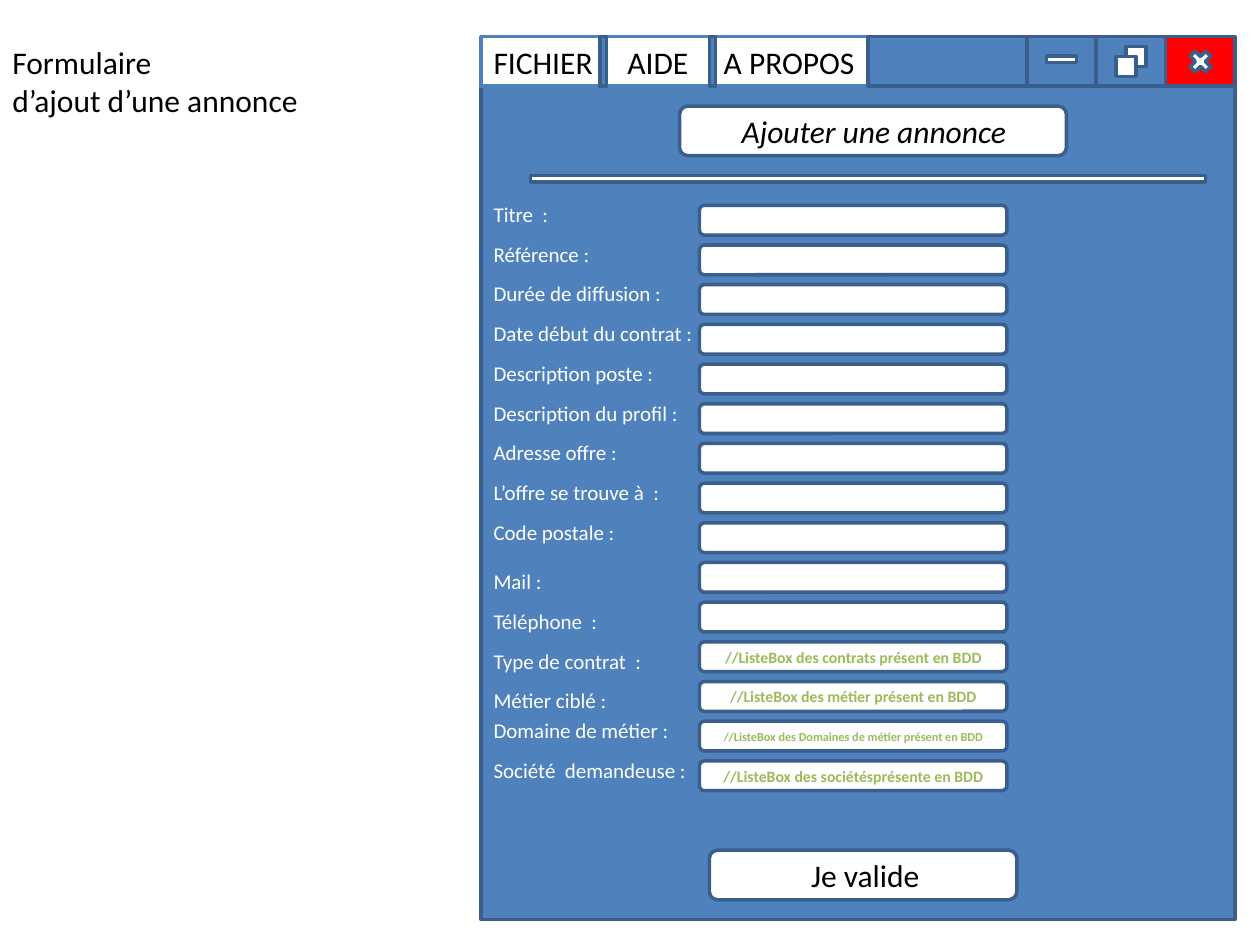
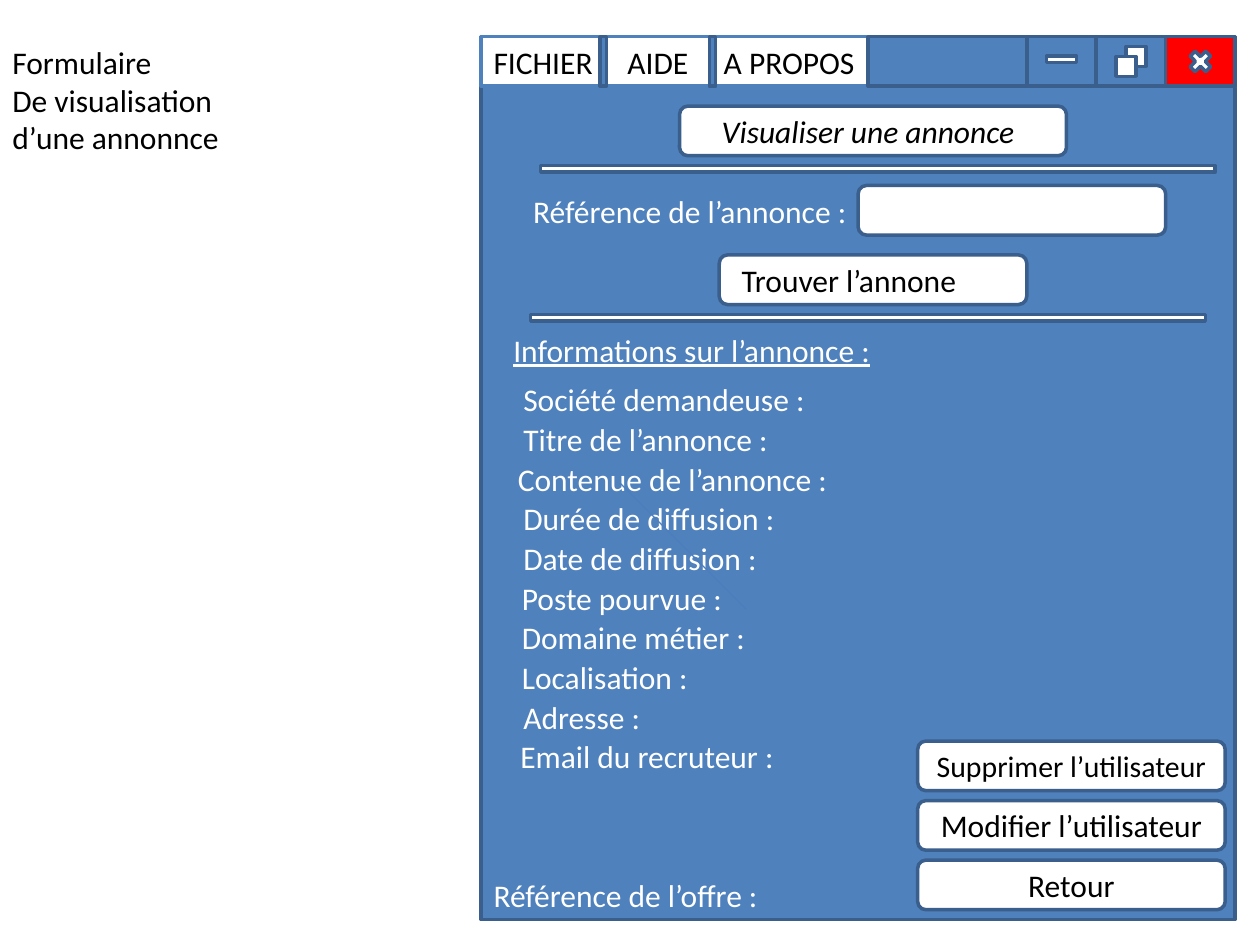
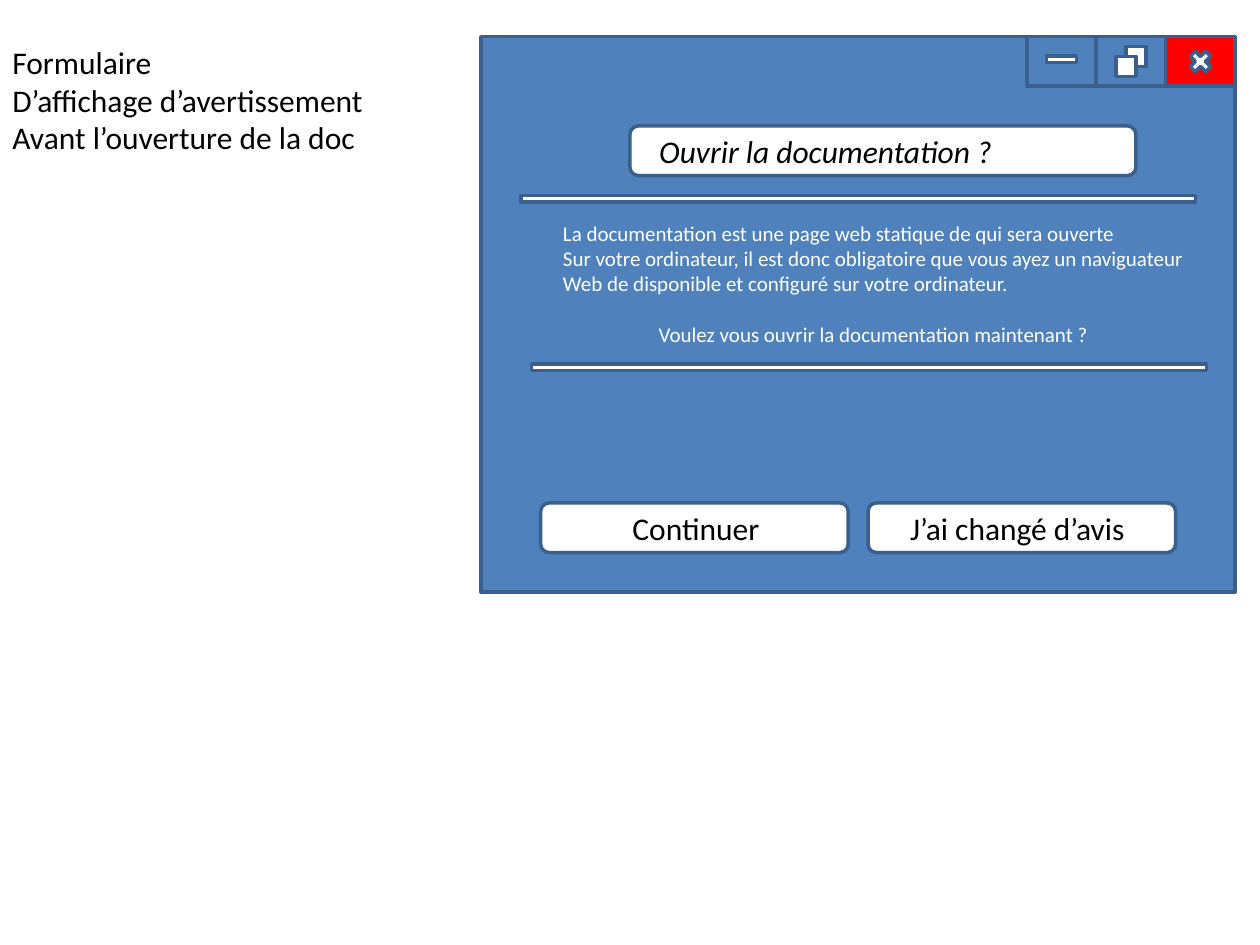
from lxml import etree
from pptx import Presentation
from pptx.dml.color import RGBColor
from pptx.enum.shapes import MSO_CONNECTOR, MSO_SHAPE
from pptx.enum.text import MSO_ANCHOR, PP_ALIGN
from pptx.oxml.ns import qn
from pptx.util import Cm, Pt

RECT = MSO_SHAPE.RECTANGLE
ROUNDED = MSO_SHAPE.ROUNDED_RECTANGLE
CROSS = MSO_SHAPE.MATH_MULTIPLY
STRAIGHT = MSO_CONNECTOR.STRAIGHT
LEFT, CENTER = PP_ALIGN.LEFT, PP_ALIGN.CENTER
MIDDLE = MSO_ANCHOR.MIDDLE

BLUE = RGBColor(0x4F, 0x81, 0xBD)
DARK_BLUE = RGBColor(0x3A, 0x5F, 0x8C)
FAINT_BLUE = RGBColor(0x4B, 0x7E, 0xBC)
RED = RGBColor(0xFF, 0x00, 0x00)
GREEN = RGBColor(0x9B, 0xBB, 0x59)
WHITE = RGBColor(0xFF, 0xFF, 0xFF)
BLACK = RGBColor(0x00, 0x00, 0x00)

FONT = "Calibri"
BODY, SMALL = 18, 12
LINE_HEIGHT = {BODY: 1.03, SMALL: 0.77}

# All lengths are in centimetres.
WINDOW_LEFT, WINDOW_TOP, WINDOW_WIDTH = 9.7, 0.74, 15.2
TALL_WINDOW, SHORT_WINDOW = 17.8, 11.2
BAR_HEIGHT = 1
CONTROL_WIDTH = 1.4
BUTTON_WIDTH, BUTTON_HEIGHT = 6.2, 1
FIELD_HEIGHT = 0.6
RULE_WIDTH, RULE_HEIGHT = 13.6, 0.13
ROW_STEP = 0.8

# Label, label width, hint in the field, hint size
AD_FIELDS = [
    ("Titre  :", 1.63, "", 9),
    ("Référence :", 2.46, "", 9),
    ("Durée de diffusion :", 3.94, "", 9),
    ("Date début du contrat :", 4.55, "", 9),
    ("Description poste :", 3.78, "", 9),
    ("Description du profil :", 4.27, "", 9),
    ("Adresse offre :", 3.05, "", 9),
    ("L’offre se trouve à  :", 3.91, "", 9),
    ("Code postale :", 3.07, "", 9),
    ("Mail :", 1.6, "", 9),
    ("Téléphone  :", 2.72, "", 9),
    ("Type de contrat  :", 3.63, "//ListeBox des contrats présent en BDD", 9),
    ("Métier ciblé :", 2.82, "//ListeBox des métier présent en BDD", 9),
    ("Domaine de métier :", 4.09,
     "//ListeBox des Domaines de métier présent en BDD", 7),
    ("Société  demandeuse :", 4.45,
     "//ListeBox des sociétésprésente en BDD", 9),
]
LOWERED_ROWS = range(9, 13)

# Label, left, width
AD_DETAILS = [
    ("Société demandeuse :", 0.6, 6.4),
    ("Titre de l’annonce :", 0.6, 5.51),
    ("Contenue de l’annonce :", 0.49, 6.85),
    ("Durée de diffusion :", 0.6, 5.66),
    ("Date de diffusion :", 0.6, 5.28),
    ("Poste pourvue :", 0.57, 4.76),
    ("Domaine métier :", 0.57, 5.09),
    ("Localisation :", 0.57, 3.93),
    ("Adresse :", 0.6, 2.9),
    ("Email du recruteur :", 0.54, 5.7),
]


class Mockup:
    """Draws form windows; positions count from the window's top left corner."""

    def __init__(self):
        self.deck = Presentation()
        self.deck.slide_width, self.deck.slide_height = Cm(25.4), Cm(19.05)
        self.shapes = None

    def new_slide(self):
        self.shapes = self.deck.slides.add_slide(self.deck.slide_layouts[6]).shapes

    @staticmethod
    def place(x, y):
        return Cm(WINDOW_LEFT + x), Cm(WINDOW_TOP + y)

    @staticmethod
    def style(paragraph, size, color, bold=None, italic=None, underline=None):
        font = paragraph.font
        font.name, font.size = FONT, Pt(size)
        font.bold, font.italic, font.underline = bold, italic, underline
        font.color.rgb = color

    def box(self, x, y, width, height, fill=WHITE, line=DARK_BLUE, kind=RECT):
        shape = self.shapes.add_shape(kind, *self.place(x, y), Cm(width), Cm(height))
        shape.shadow.inherit = False
        shape.fill.solid()
        shape.fill.fore_color.rgb = fill
        shape.line.color.rgb = line
        shape.line.width = Pt(2)
        return shape

    def button(self, x, y, text="", width=BUTTON_WIDTH, height=BUTTON_HEIGHT,
               size=BODY, color=BLACK, bold=None):
        shape = self.box(x, y, width, height, kind=ROUNDED)
        if text:
            frame = shape.text_frame
            frame.text = text
            frame.vertical_anchor = MIDDLE
            frame.paragraphs[0].alignment = CENTER
            self.style(frame.paragraphs[0], size, color, bold)

    def text(self, text, x, y, width, size=BODY, color=WHITE, wrap=False, **emphasis):
        lines = text.count("\n") + 1
        label = self.shapes.add_textbox(*self.place(x, y), Cm(width),
                                        Cm(LINE_HEIGHT[size] * lines))
        frame = label.text_frame
        frame.word_wrap = wrap
        frame.text = text
        for paragraph in frame.paragraphs:
            paragraph.alignment = LEFT
            self.style(paragraph, size, color, **emphasis)
        return frame.paragraphs

    def caption(self, text, width):
        self.text(text, -WINDOW_LEFT, 0, width, color=BLACK)

    def rule(self, x, y):
        self.box(x, y, RULE_WIDTH, RULE_HEIGHT)

    def line(self, x1, y1, x2, y2):
        connector = self.shapes.add_connector(STRAIGHT, *self.place(x1, y1),
                                              *self.place(x2, y2))
        connector.line.color.rgb = FAINT_BLUE
        connector.line.width = Pt(0.75)
        etree.SubElement(connector._element.spPr, qn("a:effectLst"))

    def window(self, height, has_menu=True):
        self.box(0, 0, WINDOW_WIDTH, height, BLUE)
        if has_menu:
            self.box(0, 0, WINDOW_WIDTH, BAR_HEIGHT, line=BLUE)
        for place_from_right, fill in enumerate((RED, BLUE, BLUE), 1):
            self.box(WINDOW_WIDTH - place_from_right * CONTROL_WIDTH, 0,
                     CONTROL_WIDTH, BAR_HEIGHT, fill)
        self.box(11.4, 0.39, 0.6, RULE_HEIGHT)
        self.box(14.2, 0.2, 0.6, 0.6, kind=CROSS)
        self.box(13, 0.2, 0.4, 0.4)
        self.box(12.8, 0.4, 0.4, 0.4)
        if has_menu:
            self.menu()

    def menu(self):
        entries = self.text("FICHIER\tAIDE\tA PROPOS", 0, 0, 11, color=BLACK, wrap=True)
        properties = entries[0]._p.get_or_add_pPr()
        tabs = etree.Element(qn("a:tabLst"))
        for position in (2.7, 4.64):
            etree.SubElement(tabs, qn("a:tab"), pos=str(Cm(position)), algn="l")
        properties.find(qn("a:defRPr")).addprevious(tabs)
        for x, width in ((7.8, 3.2), (2.4, RULE_HEIGHT), (4.6, RULE_HEIGHT)):
            self.box(x, 0, width, BAR_HEIGHT, BLUE)

    def heading(self, text, text_x, text_width=6.6, x=4, y=1.4, width=7.8):
        self.button(x, y, width=width)
        self.text(text, text_x, y, text_width, color=BLACK, wrap=True, italic=True)

    def labelled_button(self, text, x, y, text_x, text_width):
        """Adds a button whose label is placed apart from its centre."""
        self.button(x, y)
        self.text(text, text_x, y, text_width, color=BLACK)


def add_ad_form(mockup):
    mockup.new_slide()
    mockup.window(TALL_WINDOW)
    mockup.heading("Ajouter une annonce", 5)
    mockup.caption("Formulaire\nd’ajout d’une annonce", 6.35)
    mockup.rule(1, 2.8)
    for row, (label, width, hint, hint_size) in enumerate(AD_FIELDS):
        y = 3.2 + row * ROW_STEP
        mockup.button(4.4, y + 0.2, hint, height=FIELD_HEIGHT,
                      size=hint_size, color=GREEN, bold=True)
        mockup.text(label, 0, y + (0.2 if row in LOWERED_ROWS else 0), width, SMALL)
    mockup.labelled_button("Je valide", 4.6, 16.4, 6.4, 2.87)


def add_ad_view(mockup):
    mockup.new_slide()
    mockup.window(TALL_WINDOW)
    mockup.heading("Visualiser une annonce", 4.6)
    mockup.caption("Formulaire\nDe visualisation\nd’une annonnce", 4.88)
    mockup.rule(1.2, 2.6)
    mockup.button(7.6, 3)
    mockup.text("Référence de l’annonce :", 0.8, 3, 6.91)
    mockup.labelled_button("Trouver l’annone", 4.8, 4.4, 5, 5.03)
    mockup.rule(1, 5.6)
    mockup.text("Informations sur l’annonce :", 0.4, 5.8, 7.98, underline=True)
    for row, (label, x, width) in enumerate(AD_DETAILS):
        mockup.text(label, x, 6.8 + row * ROW_STEP, width)
    mockup.line(2.8, 9, 5.34, 11.54)
    mockup.text("Référence de l’offre :", 0, 16.8, 6.2, wrap=True)
    actions = (("Supprimer l’utilisateur", 17), ("Modifier l’utilisateur", BODY),
               ("Retour", BODY))
    for row, (action, size) in enumerate(actions):
        mockup.button(8.8, 14.2 + row * 1.2, action, size=size)


def add_documentation_warning(mockup):
    mockup.new_slide()
    mockup.caption("Formulaire\nD’affichage d’avertissement\nAvant l’ouverture de la doc",
                   7.85)
    mockup.window(SHORT_WINDOW, has_menu=False)
    mockup.heading("Ouvrir la documentation ?", 3.34, 10.25, x=3, y=1.8, width=10.2)
    mockup.rule(0.8, 3.2)
    warning = mockup.text(
        "La documentation est une page web statique de qui sera ouverte\n"
        "Sur votre ordinateur, il est donc obligatoire que vous ayez un naviguateur\n"
        "Web de disponible et configuré sur votre ordinateur.\n"
        "Voulez vous ouvrir la documentation maintenant ?", 1.4, 3.58, 13.13, SMALL)
    question = warning[-1]
    question.alignment = CENTER
    question.space_before = Pt(14.5)
    mockup.rule(1.02, 6.6)
    mockup.labelled_button("Continuer", 1.2, 9.4, 2.8, 3.1)
    mockup.labelled_button("J’ai changé d’avis", 7.8, 9.4, 8.4, 4.88)


def main():
    mockup = Mockup()
    add_ad_form(mockup)
    add_ad_view(mockup)
    add_documentation_warning(mockup)
    mockup.deck.save("out.pptx")


if __name__ == "__main__":
    main()
